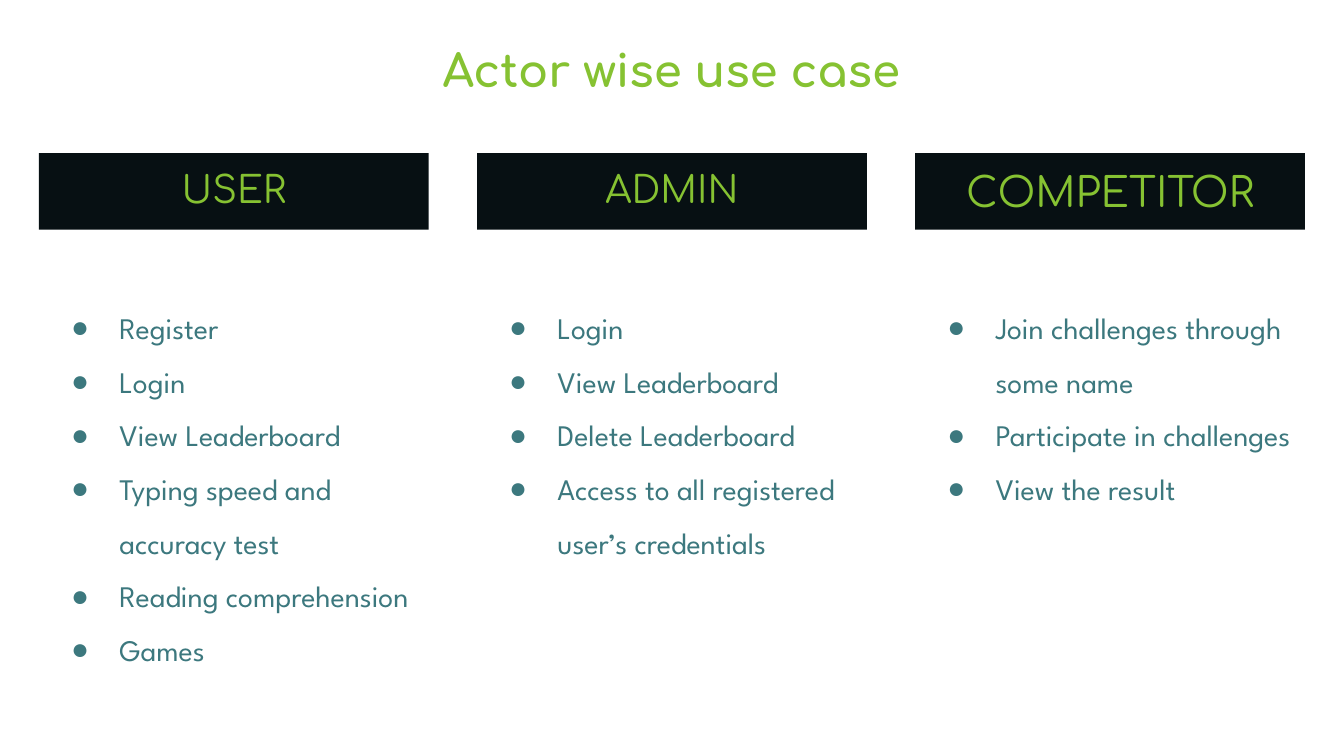
import pptx
import pptx.dml.color
import pptx.enum.shapes
import pptx.enum.text
import pptx.oxml.ns
import pptx.util
from lxml import etree
from pptx.util import Inches

WHITE = pptx.dml.color.RGBColor(0xFF, 0xFF, 0xFF)
BLACK = pptx.dml.color.RGBColor(0x07, 0x10, 0x13)
GREEN = pptx.dml.color.RGBColor(0x86, 0xC2, 0x32)
TEAL = pptx.dml.color.RGBColor(0x3C, 0x78, 0x7E)

ACTORS = [
    ("USER", 20, ["Register", "Login", "View Leaderboard",
                  "Typing speed and accuracy test",
                  "Reading comprehension", "Games"]),
    ("ADMIN", 20, ["Login", "View Leaderboard", "Delete Leaderboard",
                   "Access to all registered user’s credentials"]),
    ("COMPETITOR", 22, ["Join challenges through some name",
                        "Participate in challenges", "View the result"]),
]
MARGIN = 0.29
COLUMN_WIDTH = 2.9
COLUMN_STEP = 3.26


class SlideBuilder:
    """Holds the style and the slide being built."""

    heading_font = "Comfortaa"
    body_font = "League Spartan"
    bullet_font = "Arial"
    body_size = 16

    def __init__(self, slide):
        self.slide = slide

    def frame(self, shape):
        text_frame = shape.text_frame
        text_frame.word_wrap = True
        text_frame.auto_size = pptx.enum.text.MSO_AUTO_SIZE.NONE
        text_frame.vertical_anchor = pptx.enum.text.MSO_ANCHOR.TOP
        text_frame.margin_left = text_frame.margin_right = Inches(0.1)
        text_frame.margin_top = text_frame.margin_bottom = Inches(0.1)
        return text_frame

    def format_font(self, paragraph, name, size, color, bold=False):
        paragraph.font.name = name
        paragraph.font.size = pptx.util.Pt(size)
        paragraph.font.color.rgb = color
        paragraph.font.bold = bold

    def heading(self, shape, text, size, fill, bold=False):
        shape.fill.solid()
        shape.fill.fore_color.rgb = fill
        shape.line.fill.background()
        text_frame = self.frame(shape)
        text_frame.text = text
        paragraph = text_frame.paragraphs[0]
        paragraph.alignment = pptx.enum.text.PP_ALIGN.CENTER
        paragraph.line_spacing = 1.0
        self.format_font(paragraph, self.heading_font, size, GREEN, bold)

    def title(self, text):
        shape = self.slide.shapes.title
        shape.left, shape.top = Inches(1.11), Inches(0.22)
        shape.width, shape.height = Inches(7.77), Inches(0.64)
        self.heading(shape, text, 24, WHITE, bold=True)

    def banner(self, left, text, size):
        shape = self.slide.shapes.add_shape(
            pptx.enum.shapes.MSO_SHAPE.RECTANGLE,
            Inches(left), Inches(1.14), Inches(COLUMN_WIDTH), Inches(0.57))
        shape.shadow.inherit = False
        self.heading(shape, text, size, BLACK)

    def bullet(self, paragraph):
        properties = paragraph._p.get_or_add_pPr()
        properties.set("marL", str(Inches(0.5)))
        properties.set("indent", str(Inches(-0.36)))
        color = etree.SubElement(properties, pptx.oxml.ns.qn("a:buClr"))
        etree.SubElement(color, pptx.oxml.ns.qn("a:srgbClr"), val=str(TEAL))
        etree.SubElement(properties, pptx.oxml.ns.qn("a:buFont"),
                         typeface=self.bullet_font)
        etree.SubElement(properties, pptx.oxml.ns.qn("a:buChar"), char="●")

    def bullet_list(self, left, items):
        shape = self.slide.shapes.add_textbox(
            Inches(left), Inches(2.07), Inches(COLUMN_WIDTH), Inches(2.79))
        text_frame = self.frame(shape)
        text_frame.text = "\n".join(items)
        for paragraph in text_frame.paragraphs:
            self.bullet(paragraph)
            paragraph.line_spacing = 1.5
            self.format_font(paragraph, self.body_font, self.body_size, TEAL)


def main():
    presentation = pptx.Presentation()
    presentation.slide_width = Inches(10)
    presentation.slide_height = presentation.slide_width * 9 // 16
    slide = presentation.slides.add_slide(presentation.slide_layouts[5])
    builder = SlideBuilder(slide)
    builder.title("Actor wise use case")
    for index, (actor, size, use_cases) in enumerate(ACTORS):
        left = MARGIN + index * COLUMN_STEP
        builder.banner(left, actor, size)
        builder.bullet_list(left, use_cases)
    presentation.save("out.pptx")


if __name__ == "__main__":
    main()
